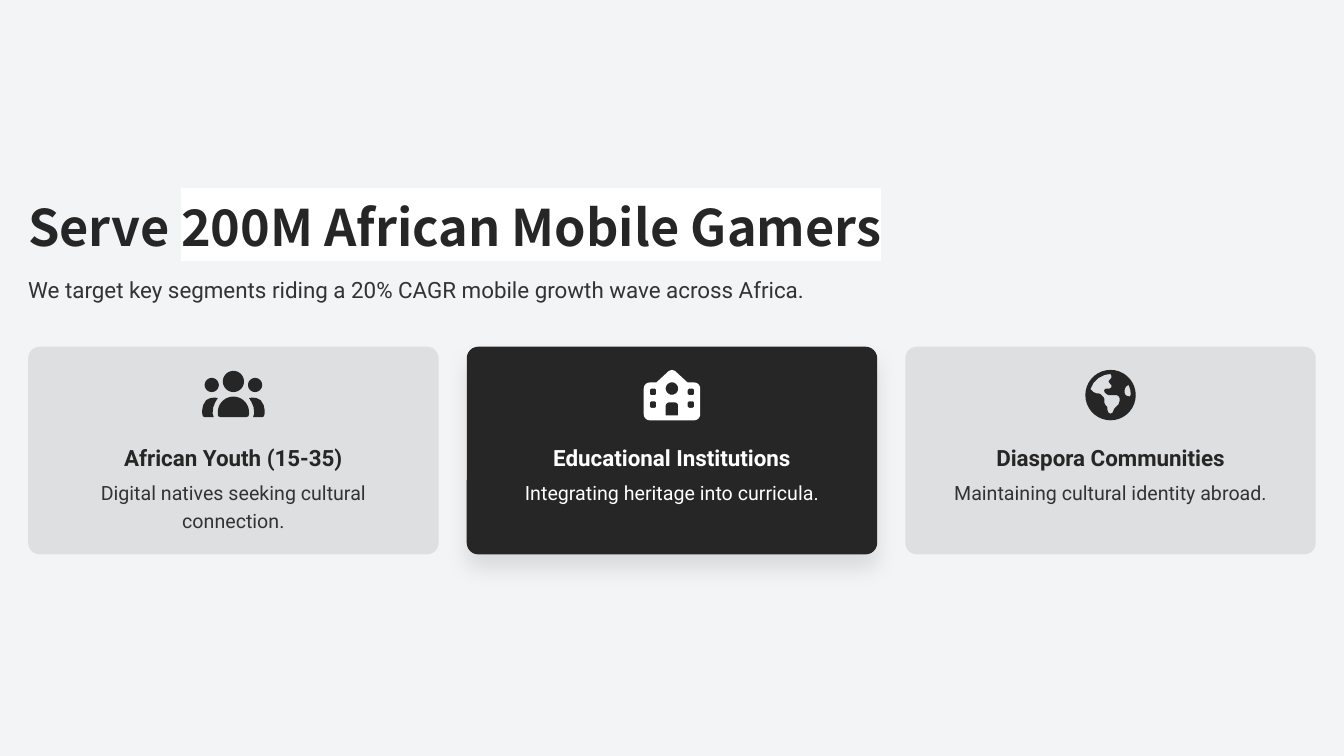
from math import cos, radians, sin

from lxml import etree
from pptx import Presentation
from pptx.dml.color import RGBColor
from pptx.enum.shapes import MSO_SHAPE
from pptx.enum.text import MSO_ANCHOR, PP_ALIGN
from pptx.oxml.ns import qn
from pptx.util import Inches, Pt

ROUNDED = MSO_SHAPE.ROUNDED_RECTANGLE
MIDDLE, TOP = MSO_ANCHOR.MIDDLE, MSO_ANCHOR.TOP
LEFT, CENTER = PP_ALIGN.LEFT, PP_ALIGN.CENTER

THEME = {
    "bg": "F3F4F6", "dark": "262626", "body": "333333", "white": "FFFFFF",
    "card": "8C8C8C", "head_font": "Noto Sans CJK SC", "body_font": "Roboto",
    "title": 36, "lead": 16, "text": 14,
}
MARGIN, GAP, CARD_W, CARD_H, CARD_TOP = 0.28, 0.28, 4.07, 2.06, 3.44
ICON_Y, LABEL_Y, DETAIL_Y = 3.92, 4.33, 4.72


def add_text(box, runs, size, font, spacing, bold=False, align=LEFT, anchor=MIDDLE):
    tf = s.shapes.add_textbox(*map(Inches, box)).text_frame
    frame = {"word_wrap": True, "vertical_anchor": anchor, "margin_left": 0,
             "margin_right": 0, "margin_top": 0, "margin_bottom": 0}
    for name, value in frame.items():
        setattr(tf, name, value)
    p = tf.paragraphs[0]
    p.alignment, p.line_spacing = align, spacing
    for text, color, highlight in runs:
        r = p.add_run()
        r.text = text
        for name, value in {"size": Pt(size), "name": font, "bold": bold}.items():
            setattr(r.font, name, value)
        r.font.color.rgb = RGBColor.from_string(color)
        if highlight:
            mark = etree.Element(qn("a:highlight"))
            etree.SubElement(mark, qn("a:srgbClr"), val=highlight)
            r.font.fill._xPr.find(qn("a:solidFill")).addnext(mark)


def arc(cx, cy, radius, start=0, stop=360):
    return [(cx + radius * cos(radians(a)), cy + radius * sin(radians(a)))
            for a in range(start, stop + 1, 10)]


shoulder = [(31, 18), (31, 15), (30, 10), (27, 5), (23, 3), (18.5, 2.5), (15.5, 3),
            (18, 7), (20, 12), (20.5, 17), (20.5, 18.5), (19.5, 22), (28.5, 22), (30.3, 21)]
people = [arc(0, -13.5, 10.5), arc(0, 17, 15.5, 180, 360) + [
    (15.5, 18.5), (15, 21), (12.5, 22), (-12.5, 22), (-15, 21), (-15.5, 18.5)]]
for side in (-1, 1):
    people += [arc(side * 21.5, -10, 7), [(side * x, y) for x, y in shoulder]]

school = [
    arc(-22, -6.5, 6, 180, 270) + [(-15.5, -12.5), (-3, -24), (0, -25), (3, -24), (15.5, -12.5)]
    + arc(22, -6.5, 6, 270, 360) + arc(22, 19, 6, 0, 90) + arc(-22, 19, 6, 90, 180),
    arc(0, -6.5, 6.2),
    arc(-3, 10.5, 3.2, 180, 270) + arc(3, 10.5, 3.2, 270, 360) + [(6.2, 20), (-6.2, 20)],
]
for x in (-18.8, 18.8):
    for y in (-3.2, 9.4):
        school.append([(x + dx, y + dy) for dx, dy in (
            (-3.2, -2), (-2, -3.2), (2, -3.2), (3.2, -2),
            (3.2, 2), (2, 3.2), (-2, 3.2), (-3.2, 2))])

globe = [
    arc(0, 0, 25),
    [(-20, -6), (-17, -3), (-14, -1.7), (-12, -1.7), (-10, -1), (-7, 2), (-6, 4), (-6, 8),
     (-5, 10), (-3.5, 11.5), (-3, 13), (-3, 15), (-2, 17.5), (0, 18.5), (2, 17.5), (3, 15),
     (4, 13), (8, 9), (9, 6), (9, 3), (8, 1), (6, 0), (-2, 0), (-4, -1), (-6, -3),
     (-6.3, -4.5), (-5.5, -6), (-4, -6.5), (-1, -6.5), (0.7, -7.5), (1, -9.5), (-1, -12),
     (-2, -13.5), (-1, -15), (0.7, -17), (1, -19), (0, -21), (-6, -20), (-12, -17), (-17, -12)],
    [(20, 0), (19.7, -5), (18, -10), (16, -9), (14.5, -7), (14, -5), (14, -2),
     (15, 0), (17, 1), (19, 1.3)],
]

cards = [
    ("African Youth (15-35)", "Digital natives seeking cultural connection.", people, False),
    ("Educational Institutions", "Integrating heritage into curricula.", school, True),
    ("Diaspora Communities", "Maintaining cultural identity abroad.", globe, False),
]

prs = Presentation()
prs.slide_width, prs.slide_height = Inches(13.33), Inches(7.5)
s = prs.slides.add_slide(prs.slide_layouts[6])
s.background.fill.solid()
s.background.fill.fore_color.rgb = RGBColor.from_string(THEME["bg"])

add_text((MARGIN, 2, 12.78, 0.56),
         [("Serve ", THEME["dark"], None),
          ("200M African Mobile Gamers", THEME["dark"], THEME["white"])],
         THEME["title"], THEME["head_font"], 0.9, bold=True)
add_text((MARGIN, 2.67, 11.22, 0.33),
         [("We target key segments riding a 20% CAGR mobile growth wave across Africa.",
           THEME["body"], None)],
         THEME["lead"], THEME["body_font"], 1.3)

for i, (label, detail, outlines, featured) in enumerate(cards):
    left = MARGIN + i * (CARD_W + GAP)
    center = left + CARD_W / 2
    ink = THEME["white"] if featured else THEME["dark"]

    card = s.shapes.add_shape(ROUNDED, *map(Inches, (left, CARD_TOP, CARD_W, CARD_H)))
    card.adjustments[0] = 0.055

    first, *others = [[(x * 100, y * 100) for x, y in points] for points in outlines]
    builder = s.shapes.build_freeform(*first[0], scale=Inches(1) / 10000)
    builder.add_line_segments(first[1:])
    for points in others:
        builder.move_to(*points[0])
        builder.add_line_segments(points[1:])
    icon = builder.convert_to_shape(Inches(center), Inches(ICON_Y))

    for sp, color in ((card, THEME["dark" if featured else "card"]), (icon, ink)):
        sp.shadow.inherit = False
        sp.line.fill.background()
        sp.fill.solid()
        sp.fill.fore_color.rgb = RGBColor.from_string(color)

    if featured:
        effects = card._element.spPr.find(qn("a:effectLst"))
        shadow = etree.SubElement(effects, qn("a:outerShdw"), blurRad=str(Pt(15)),
                                  dist=str(Pt(10)), dir="5400000", rotWithShape="0")
        tint, alpha = etree.SubElement(shadow, qn("a:srgbClr"), val="000000"), "10000"
    else:
        tint, alpha = card._element.spPr.find(".//" + qn("a:srgbClr")), "20000"
    etree.SubElement(tint, qn("a:alpha"), val=alpha)

    add_text((center - 1.5, LABEL_Y, 3, 0.33), [(label, ink, None)],
             THEME["lead"], THEME["body_font"], 1.3, bold=True, align=CENTER)
    add_text((center - 1.81, DETAIL_Y, 3.62, 0.56),
             [(detail, ink if featured else THEME["body"], None)],
             THEME["text"], THEME["body_font"], 1.2, align=CENTER, anchor=TOP)

prs.save("out.pptx")
